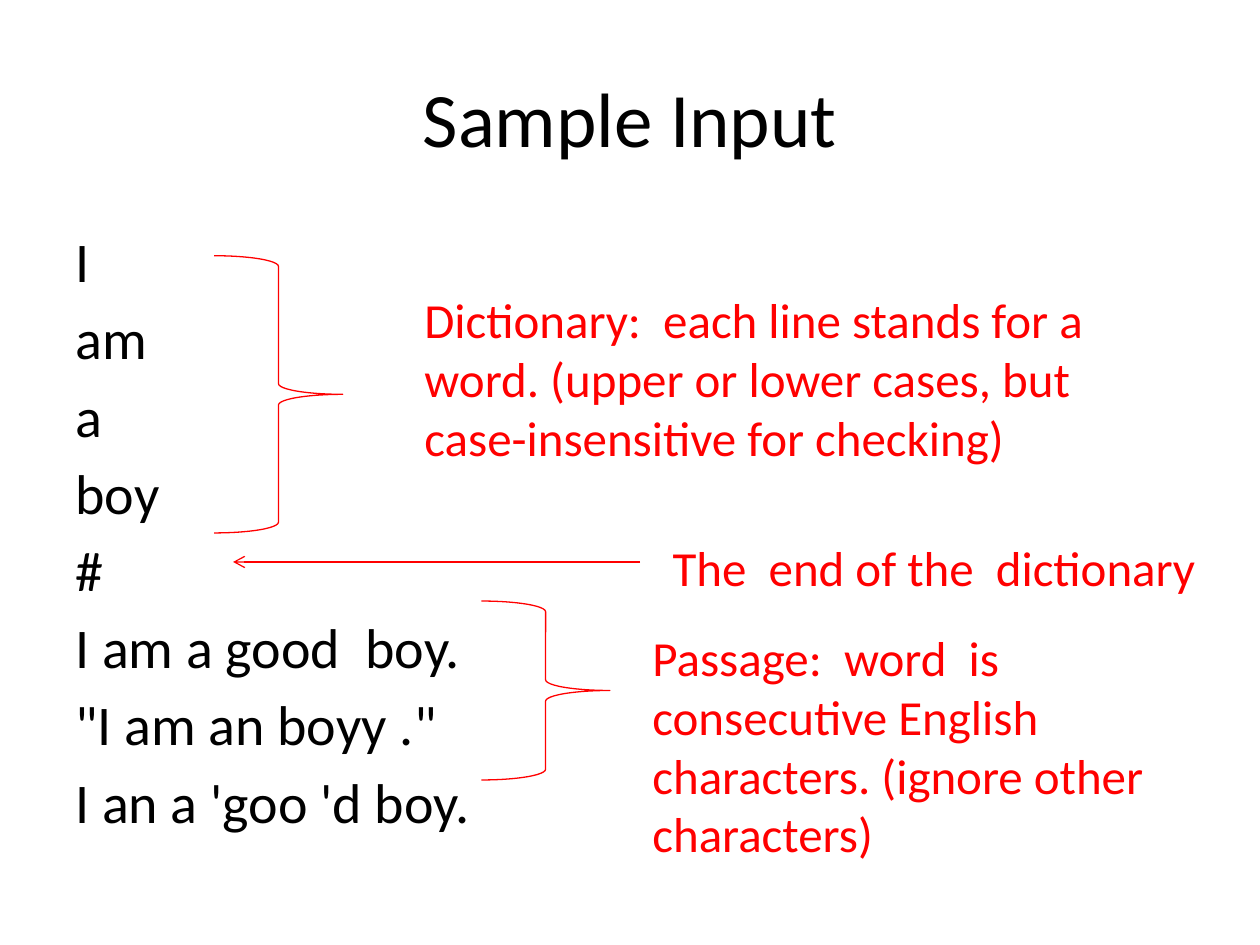
from dataclasses import dataclass

from lxml import etree
from pptx import Presentation, util as u
from pptx.dml.color import RGBColor
from pptx.enum import shapes as sh, text as tx
from pptx.oxml import ns

BLACK = RGBColor(0, 0, 0)
RED = RGBColor(255, 0, 0)
FONT = "Calibri"
THIN = u.Pt(0.75)

# Grid: 100 columns by 75 rows
WIDE, HIGH = u.Inches(10), u.Inches(7.5)
COLS, ROWS = 100, 75


@dataclass(frozen=True)
class Box:
    col: float
    row: float
    cols: float
    rows: float

    def place(self) -> tuple[int, int, int, int]:
        return (across(self.col), down(self.row),
                across(self.cols), down(self.rows))


@dataclass(frozen=True)
class Label:
    box: Box
    lines: tuple[str, ...]
    size: int = 28
    color: RGBColor = RED
    align: tx.PP_ALIGN = tx.PP_ALIGN.LEFT
    anchor: tx.MSO_ANCHOR = tx.MSO_ANCHOR.TOP
    gap: float = 0


def across(cols: float) -> int:
    return round(WIDE * cols / COLS)


def down(rows: float) -> int:
    return round(HIGH * rows / ROWS)


def style(item: object, form: dict[str, object]) -> None:
    for key, value in form.items():
        setattr(item, key, value)


def write(slide, label: Label) -> None:
    frame = slide.shapes.add_textbox(*label.box.place()).text_frame
    style(frame, {"word_wrap": True, "vertical_anchor": label.anchor})
    frame.text = "\n".join(label.lines)
    for para in frame.paragraphs:
        style(para, {"alignment": label.align, "space_before": u.Pt(label.gap)})
        style(para.font, {"name": FONT, "size": u.Pt(label.size)})
        para.font.color.rgb = label.color


def ink(line) -> None:
    line.color.rgb = RED
    line.width = THIN


def brace(slide, box: Box) -> None:
    shape = slide.shapes.add_shape(sh.MSO_SHAPE.RIGHT_BRACE, *box.place())
    shape.shadow.inherit = False
    shape.fill.background()
    ink(shape.line)


def arrow(slide, start: float, end: float, row: float) -> None:
    link = slide.shapes.add_connector(
        sh.MSO_CONNECTOR.STRAIGHT, across(start), down(row), across(end), down(row))
    ink(link.line)
    props = link.element.spPr
    etree.SubElement(props.find(ns.qn("a:ln")), ns.qn("a:tailEnd"), type="arrow")
    etree.SubElement(props, ns.qn("a:effectLst"))


LABELS = (
    Label(Box(5, 3, 90, 12.5), ("Sample Input",), 44, BLACK,
          tx.PP_ALIGN.CENTER, tx.MSO_ANCHOR.MIDDLE),
    Label(Box(5, 17.5, 90, 49.5),
          ("I", "am", "a", "boy", "#", "I am a good  boy.",
           "\"I am an boyy .\"", "I an a 'goo 'd boy."),
          32, BLACK, gap=5.7),
    Label(Box(32.7, 22.5, 57.5, 15.1),
          ("Dictionary:  each line stands for a word. "
           "(upper or lower cases, but case-insensitive for checking)",)),
    Label(Box(52.4, 42.2, 44.1, 5.7), ("The  end of the  dictionary",)),
    Label(Box(50.8, 49.3, 45.7, 19.9),
          ("Passage:  word  is consecutive English characters. "
           "(ignore other characters)",)),
)
BRACES = (Box(17, 20.3, 10.2, 22), Box(38.2, 47.7, 10.2, 14.2))

deck = Presentation()
style(deck, {"slide_width": WIDE, "slide_height": HIGH})
page = deck.slides.add_slide(deck.slide_layouts[6])

# Title, sample lines and notes on them
for label in LABELS:
    write(page, label)

# Braces around the dictionary and the passage
for box in BRACES:
    brace(page, box)

# Pointer to the end mark
arrow(page, 50.8, 18.5, 44.6)

deck.save("out.pptx")
